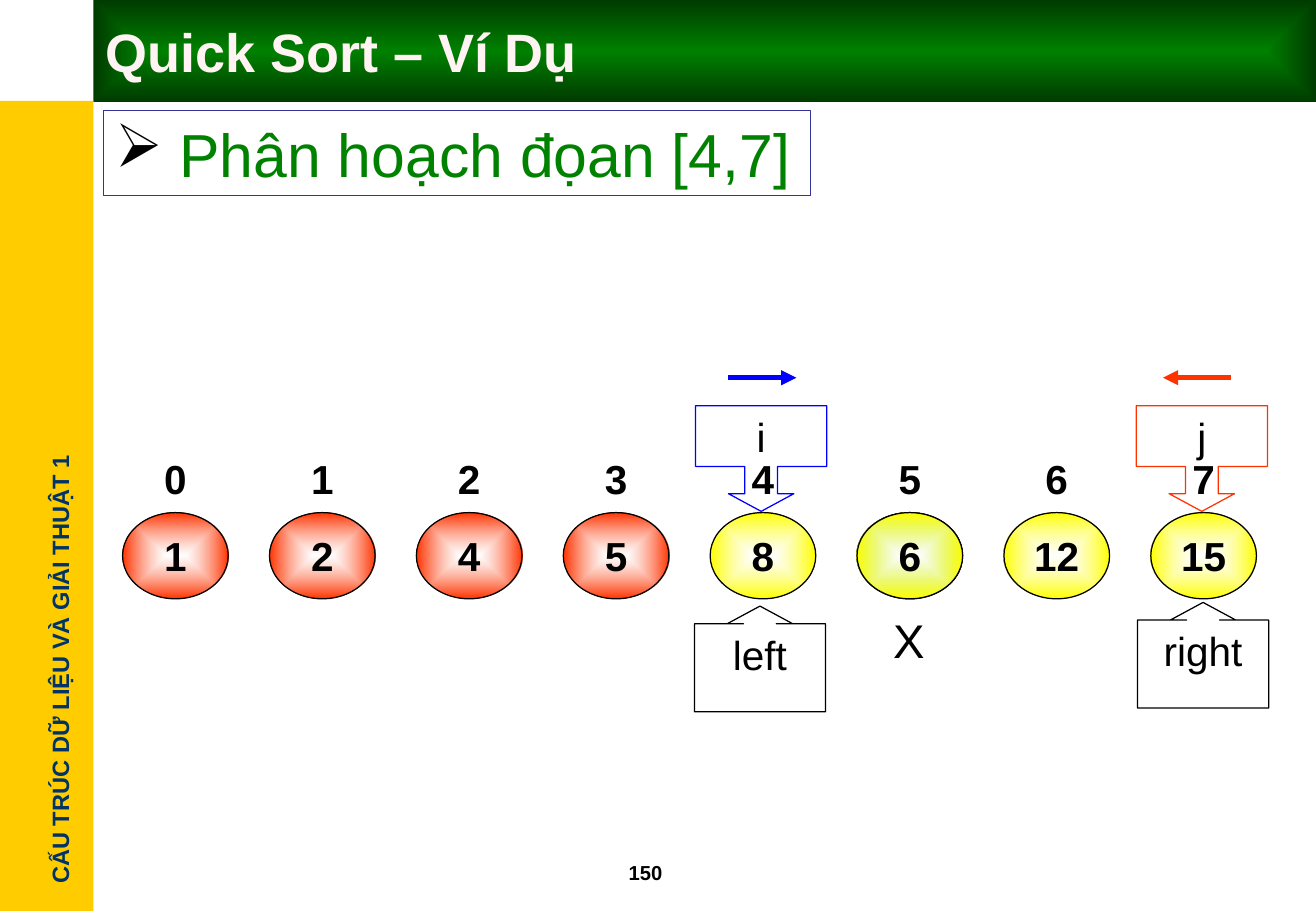
"""Builds the Quick Sort example slide that partitions the range [4,7]."""
import pptx
import pptx.util
from lxml import etree
from pptx.dml.color import RGBColor
from pptx.enum.shapes import MSO_CONNECTOR, MSO_SHAPE
from pptx.enum.text import MSO_ANCHOR, MSO_AUTO_SIZE, PP_ALIGN
from pptx.oxml.ns import qn

Inches = pptx.util.Inches
Pt = pptx.util.Pt

COLORS = {
    "sidebar": "FFCC00", "course": "003366", "title": "FFF3F3",
    "title_mid": "008000", "title_edge": "003B00", "heading": "008200",
    "frame": "333399", "black": "000000", "white": "FFFFFF",
    "sorted": "FF3300", "active": "FFFF00", "pivot": "33CC33",
    "i": "0000FF", "j": "FF3300",
}
VALUES = [1, 2, 4, 5, 8, 6, 12, 15]
ROW_LEFT, ROW_STEP = 1.01, 1.21
PIVOT = 5


def rgb(name):
    return RGBColor.from_string(COLORS[name])


def box(at):
    return [Inches(length) for length in at]


def fill_gradient(shape, center, edge, opacity=100):
    shape.fill.gradient()
    gradient = shape._element.spPr.find(qn("a:gradFill"))
    for child in list(gradient):
        gradient.remove(child)
    stops = etree.SubElement(gradient, qn("a:gsLst"))
    for position, name, alpha in ((0, center, opacity), (100, edge, 100)):
        stop = etree.SubElement(stops, qn("a:gs"), pos=str(position * 1000))
        color = etree.SubElement(stop, qn("a:srgbClr"), val=COLORS[name])
        if alpha < 100:
            etree.SubElement(color, qn("a:alpha"), val=str(alpha * 1000))
    path = etree.SubElement(gradient, qn("a:path"), path="rect")
    etree.SubElement(path, qn("a:fillToRect"), l="50000", t="50000", r="50000", b="50000")


def write(shape, text, size, color="black", bold=False, align=PP_ALIGN.LEFT,
          anchor=MSO_ANCHOR.TOP, wrap=True):
    frame = shape.text_frame
    frame.word_wrap = wrap
    frame.auto_size = MSO_AUTO_SIZE.NONE
    frame.vertical_anchor = anchor
    paragraph = frame.paragraphs[0]
    paragraph.text = text
    paragraph.alignment = align
    font = paragraph.font
    font.name, font.size, font.bold = "Arial", Pt(size), bold
    font.color.rgb = rgb(color)


def add_label(shapes, at, text, size, **style):
    label = shapes.add_textbox(*box(at))
    write(label, text, size, **style)
    return label


def add_outline(shapes, kind, at, line=None):
    shape = shapes.add_shape(kind, *box(at))
    shape.shadow.inherit = False
    shape.fill.background()
    if line:
        shape.line.color.rgb = rgb(line)
        shape.line.width = Pt(0.75)
    else:
        shape.line.fill.background()
    return shape


def add_oval(shapes, index, top, text, edge=None):
    at = (ROW_LEFT + index * ROW_STEP, top, 0.87, 0.71)
    oval = add_outline(shapes, MSO_SHAPE.OVAL, at, "black" if edge else None)
    if edge:
        fill_gradient(oval, "white", edge, 60)
    write(oval, str(text), 24, bold=True, align=PP_ALIGN.CENTER, anchor=MSO_ANCHOR.MIDDLE)


def add_callout(shapes, kind, left, top, text, body, line="black"):
    callout = add_outline(shapes, kind, (left, top, 1.08, 0.87), line)
    for position, value in enumerate((0.31, 0.31, 0.167, body)):
        callout.adjustments[position] = value
    write(callout, text, 24, align=PP_ALIGN.CENTER)


def add_pointer(slide, left, name, start, end):
    pointer = slide.shapes.add_group_shape().shapes
    add_callout(pointer, MSO_SHAPE.DOWN_ARROW_CALLOUT, left, 3.34, name, 0.575, name)
    arrow = pointer.add_connector(MSO_CONNECTOR.STRAIGHT, *box((start, 3.11, end, 3.11)))
    arrow.line.color.rgb = rgb(name)
    arrow.line.width = Pt(3)
    etree.SubElement(arrow.line._get_or_add_ln(), qn("a:tailEnd"), type="triangle")
    etree.SubElement(arrow._element.spPr, qn("a:effectLst"))


def add_frame(slide):
    sidebar = add_outline(slide.shapes, MSO_SHAPE.RECTANGLE, (0, 0.83, 0.77, 6.67))
    sidebar.fill.solid()
    sidebar.fill.fore_color.rgb = rgb("sidebar")
    course = add_label(slide.shapes, (-1.37, 5.34, 3.73, 0.34),
                       "CẤU TRÚC DỮ LIỆU VÀ GIẢI THUẬT 1", 14,
                       color="course", bold=True, wrap=False)
    course.rotation = 270
    add_label(slide.shapes, (5.08, 7.03, 0.83, 0.3), "150", 12, bold=True)


def set_title(slide):
    title = slide.shapes.title
    title.left, title.top, title.width, title.height = box((0.77, 0, 10.07, 0.84))
    fill_gradient(title, "title_mid", "title_edge")
    write(title, "Quick Sort – Ví Dụ", 32, color="title", bold=True, anchor=MSO_ANCHOR.MIDDLE)


def add_heading(slide):
    heading = add_outline(slide.shapes, MSO_SHAPE.RECTANGLE, (0.85, 0.91, 5.83, 0.7), "frame")
    properties = heading.text_frame.paragraphs[0]._p.get_or_add_pPr()
    properties.set("marL", str(Inches(0.53)))
    properties.set("indent", str(-Inches(0.53)))
    bullet_color = etree.SubElement(properties, qn("a:buClr"))
    etree.SubElement(bullet_color, qn("a:srgbClr"), val=COLORS["black"])
    etree.SubElement(properties, qn("a:buChar"), char="➢")
    write(heading, "Phân hoạch đọan [4,7]", 36, color="heading")


def add_array(slide):
    indices = slide.shapes.add_group_shape().shapes
    add_oval(slide.shapes, PIVOT, 4.22, VALUES[PIVOT], "pivot")
    for index, value in enumerate(VALUES):
        add_oval(slide.shapes, index, 4.22, value, "sorted" if index < 4 else "active")
        add_oval(indices, index, 3.58, index)


def main():
    deck = pptx.Presentation()
    deck.slide_width, deck.slide_height = Inches(10.84), Inches(7.5)
    slide = deck.slides.add_slide(deck.slide_layouts[5])
    add_frame(slide)
    set_title(slide)
    add_heading(slide)
    add_array(slide)
    add_callout(slide.shapes, MSO_SHAPE.UP_ARROW_CALLOUT, 5.72, 4.99, "left", 0.851)
    add_callout(slide.shapes, MSO_SHAPE.UP_ARROW_CALLOUT, 9.37, 4.96, "right", 0.851)
    add_pointer(slide, 5.73, "i", 6, 6.56)
    add_pointer(slide, 9.36, "j", 10.14, 9.58)
    add_label(slide.shapes, (7.26, 4.98, 0.47, 0.57), "X", 28, wrap=False)
    deck.save("out.pptx")


if __name__ == "__main__":
    main()
